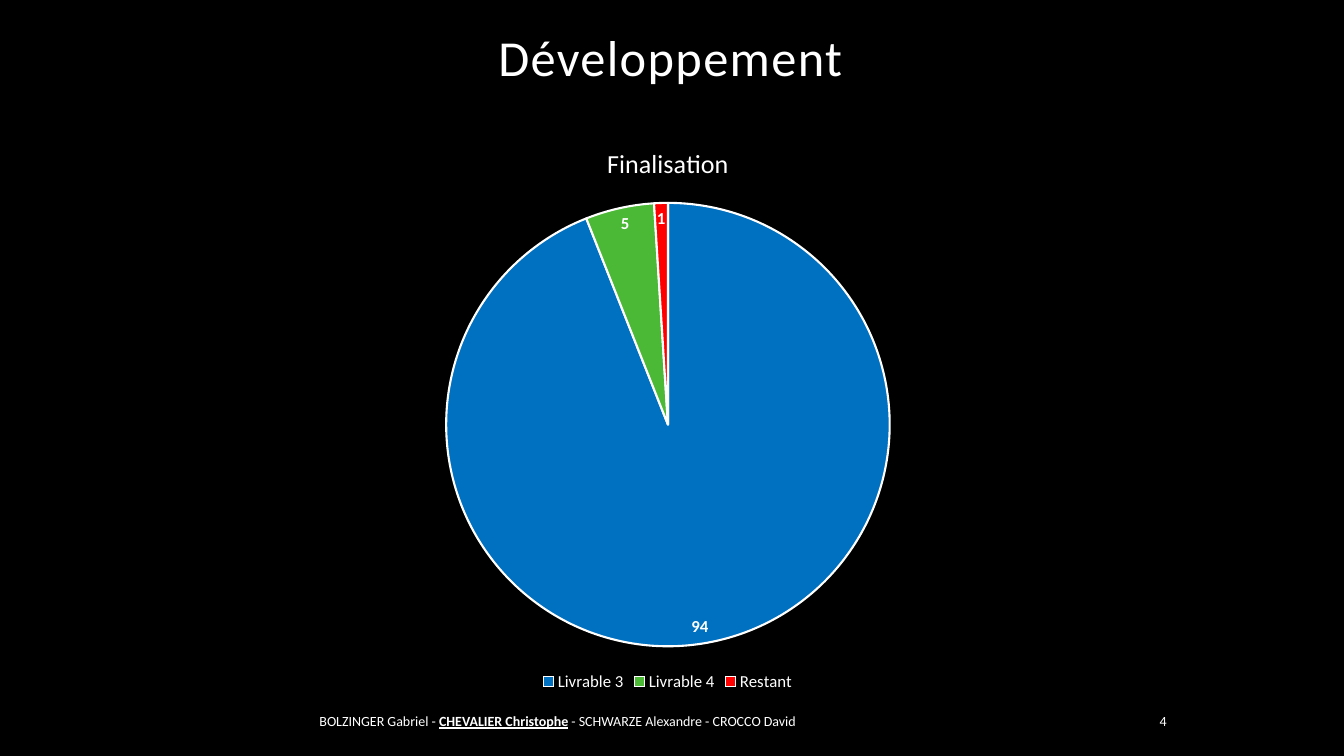
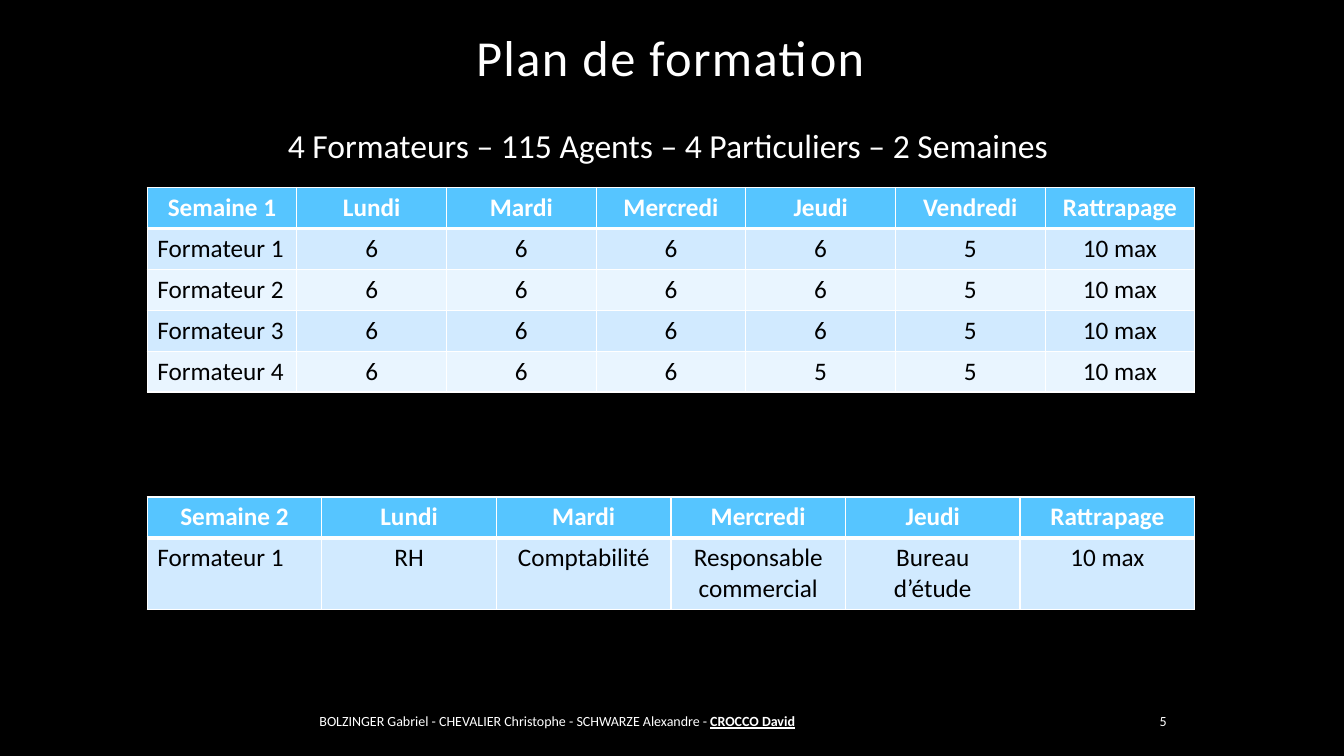
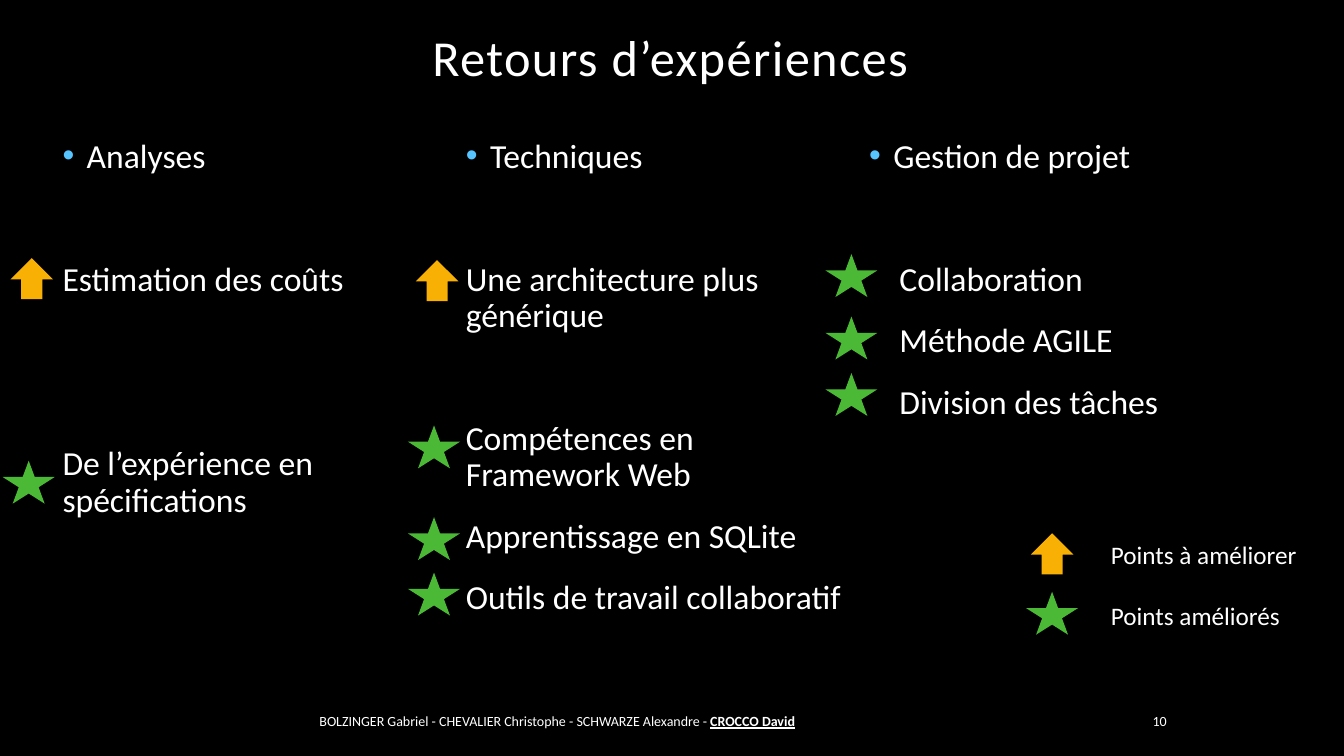
from lxml import etree
from pptx import Presentation
from pptx import util as u
from pptx.chart.data import CategoryChartData
from pptx.dml.color import RGBColor
from pptx.enum import chart as ch, shapes, text
from pptx.oxml.ns import qn

# Shared look
PX = 9144  # 100 px to the inch
FONT = "Calibri"
WHITE, BLACK = "FFFFFF", "000000"
SKY, PALE, MIST = "56C5FF", "D1EAFF", "E9F5FF"
BLUE, GREEN, RED, AMBER = "0070C0", "4BB836", "FF0000", "F8B004"
LEFT, MID, RIGHT = text.PP_ALIGN.LEFT, text.PP_ALIGN.CENTER, text.PP_ALIGN.RIGHT
STAR, ARROW = shapes.MSO_SHAPE.STAR_5_POINT, shapes.MSO_SHAPE.UP_ARROW
CREW = "BOLZINGER Gabriel - CHEVALIER Christophe - SCHWARZE Alexandre - CROCCO David"


def px(*nums):
    return [u.Emu(n * PX) for n in nums]


def tint(code):
    return RGBColor.from_string(code)


def style(font, size, color=WHITE, bold=False, under=False):
    font.name, font.size, font.bold = FONT, u.Pt(size), bold
    font.underline = under
    font.color.rgb = tint(color)


def fill(item, color):
    item.fill.solid()
    item.fill.fore_color.rgb = tint(color)


def say(para, words, size, align=LEFT, before=0, line=1.0, track=0, **look):
    """Add a run to a paragraph and set the paragraph's format."""
    run = para.add_run()
    run.text = words
    style(run.font, size, **look)
    if track:
        run.font._element.set("spc", str(track * 100))
    para.alignment, para.line_spacing = align, line
    para.space_before = u.Pt(before)


def mark(para, left=0, color=None):
    """Indent a paragraph, with a hanging bullet if a colour is given."""
    props = para._p.get_or_add_pPr()
    props.set("marL", str(left * PX))
    props.set("indent", str(-left * PX if color else 0))
    if color is None:
        etree.SubElement(props, qn("a:buNone"))
        return
    tone = etree.SubElement(props, qn("a:buClr"))
    etree.SubElement(tone, qn("a:srgbClr"), val=color)
    etree.SubElement(props, qn("a:buFont"), typeface="Arial")
    etree.SubElement(props, qn("a:buChar"), char="•")


def setup(shape, anchor=text.MSO_ANCHOR.TOP):
    frame = shape.text_frame
    frame.word_wrap, frame.auto_size = True, text.MSO_AUTO_SIZE.NONE
    frame.vertical_anchor = anchor
    return frame


def place(shape, box):
    shape.left, shape.top, shape.width, shape.height = px(*box)


def box(slide, *at, anchor=text.MSO_ANCHOR.TOP):
    return setup(slide.shapes.add_textbox(*px(*at)), anchor)


def lines(frame):
    """Yield the first paragraph, then new ones."""
    yield frame.paragraphs[0]
    while True:
        yield frame.add_paragraph()


def start(deck, layout, title, chief, page):
    """Add a slide with its title, crew line and page number."""
    slide = deck.slides.add_slide(deck.slide_layouts[layout])
    head, mid = slide.shapes.title, text.MSO_ANCHOR.MIDDLE
    place(head, (165, 20, 1000, 79))
    say(setup(head, mid).paragraphs[0], title, 36, MID, line=0.9, track=1)
    crew = box(slide, 307, 700, 717, 30, anchor=mid).paragraphs[0]
    for part in CREW.partition(chief):
        if part:
            say(crew, part, 10, bold=part == chief, under=part == chief)
    num = box(slide, 1075, 700, 92, 30, anchor=mid).paragraphs[0]
    say(num, str(page), 10, RIGHT)
    return slide


def pie(slide, name, parts):
    data = CategoryChartData()
    data.categories = [label for label, _, _ in parts]
    data.add_series(name, [value for _, value, _ in parts])
    frame = slide.shapes.add_chart(ch.XL_CHART_TYPE.PIE, *px(52, 123, 1221, 567), data)
    chart = frame.chart
    style(chart.font, 10)
    chart.has_title = True
    say(chart.chart_title.text_frame.paragraphs[0], name, 18.6, MID)
    chart.chart_title.include_in_layout = False
    chart.has_legend = True
    chart.legend.position = ch.XL_LEGEND_POSITION.BOTTOM
    chart.legend.include_in_layout = False
    style(chart.legend.font, 12)
    plot = chart.plots[0]
    plot.vary_by_categories = True
    for i, (_, _, color) in enumerate(parts):
        form = plot.series[0].points[i].format
        fill(form, color)
        form.line.color.rgb, form.line.width = tint(WHITE), u.Pt(1.5)
    tags = plot.series[0].data_labels
    tags.show_value = True
    tags.position = ch.XL_LABEL_POSITION.INSIDE_END
    style(tags.font, 12, bold=True)


def edge(cell, **widths):
    props = cell._tc.get_or_add_tcPr()
    for i, side in enumerate("LRTB"):
        line = etree.Element(qn("a:ln" + side), w=str(u.Pt(widths.get(side, 1))))
        paint = etree.SubElement(line, qn("a:solidFill"))
        etree.SubElement(paint, qn("a:srgbClr"), val=WHITE)
        props.insert(i, line)


def grid(slide, top, rows):
    """Draw a table with a header row and banded rows below."""
    count, wide = len(rows[0]), 1039
    table = slide.shapes.add_table(
        len(rows), count, *px(146, top, wide, 41 * len(rows))).table
    for col in table.columns:
        col.width = px(wide)[0] // count
    for r, row in enumerate(rows):
        table.rows[r].height = u.Emu(40.6 * PX)
        for c, words in enumerate(row):
            cell = table.cell(r, c)
            fill(cell, SKY if r == 0 else PALE if r % 2 else MIST)
            edge(cell, T=3 if r == 1 else 1, B=3 if r == 0 else 1)
            say(cell.text_frame.paragraphs[0], words, 18,
                LEFT if r and c == 0 else MID,
                color=BLACK if r else WHITE, bold=r == 0)


def column(holder, left, head, items, inset=0):
    """Fill one body with a bulleted heading and spaced items."""
    place(holder, (left, 133, 405, 560))
    paras = lines(setup(holder))
    para = next(paras)
    say(para, head, 24, line=0.9)
    mark(para, 24, SKY)
    for words, gap in items:
        para = next(paras)
        say(para, words, 24, before=gap, line=0.9)
        mark(para, inset)


def icon(slide, kind, left, top):
    wide, color = (47, GREEN) if kind == STAR else (39, AMBER)
    shape = slide.shapes.add_shape(kind, *px(left, top, wide, 39))
    shape.shadow.inherit = False
    fill(shape, color)
    shape.line.color.rgb, shape.line.width = tint(color), u.Pt(1)
    etree.SubElement(shape.line._ln, qn("a:miter"), lim="800000")


# Slides
def progress(deck):
    slide = start(deck, 5, "Développement", "CHEVALIER Christophe", 4)
    pie(slide, "Finalisation", [
        ("Livrable 3", 94, BLUE), ("Livrable 4", 5, GREEN), ("Restant", 1, RED)])


def training(deck):
    slide = start(deck, 1, "Plan de formation", "CROCCO David", 5)
    body = slide.placeholders[1]
    place(body, (52, 123, 1221, 60))
    para = setup(body).paragraphs[0]
    say(para, "4 Formateurs – 115 Agents – 4 Particuliers – 2 Semaines", 24, MID, line=0.9)
    mark(para)
    days = ["Lundi", "Mardi", "Mercredi", "Jeudi"]
    loads = ["66665", "66665", "66665", "66655"]
    grid(slide, 186, [["Semaine 1", *days, "Vendredi", "Rattrapage"]] + [
        [f"Formateur {i}", *load, "10 max"] for i, load in enumerate(loads, 1)])
    grid(slide, 493, [
        ["Semaine 2", *days, "Rattrapage"],
        ["Formateur 1", "RH", "Comptabilité", "Responsable commercial",
         "Bureau d’étude", "10 max"]])


def lessons(deck):
    slide = start(deck, 4, "Retours d’expériences", "CROCCO David", 10)
    near, far, vast = 18, 62, 106
    topics = [
        ("Analyses", [("Estimation des coûts", far),
                      ("De l’expérience en spécifications", vast)], 0),
        ("Techniques", [("Une architecture plus générique", far),
                        ("Compétences en Framework Web", far),
                        ("Apprentissage en SQLite", near),
                        ("Outils de travail collaboratif", near)], 0),
        ("Gestion de projet", [("Collaboration", far), ("Méthode AGILE", near),
                               ("Division des tâches", near)], 30)]
    for i, (head, items, inset) in enumerate(topics):
        column(slide.placeholders[i + 1], 52 + 400 * i, head, items, inset)
    spare = slide.placeholders[4]._element
    spare.getparent().remove(spare)

    # Icons beside the items and in the key
    spots = {
        ARROW: [(12, 257), (414, 259), (1024, 530)],
        STAR: [(5, 459), (407, 424), (407, 515), (407, 570),
               (821, 254), (821, 316), (821, 372), (1020, 589)]}
    for kind, points in spots.items():
        for left, top in points:
            icon(slide, kind, left, top)
    paras = lines(box(slide, 1092, 530, 220, 101))
    say(next(paras), "Points à améliorer", 18)
    say(next(paras), "Points améliorés", 18, before=22)


def main():
    deck = Presentation()
    deck.slide_width, deck.slide_height = px(1333, 750)
    fill(deck.slide_master.background, BLACK)
    progress(deck)
    training(deck)
    lessons(deck)
    deck.save("out.pptx")


if __name__ == "__main__":
    main()
